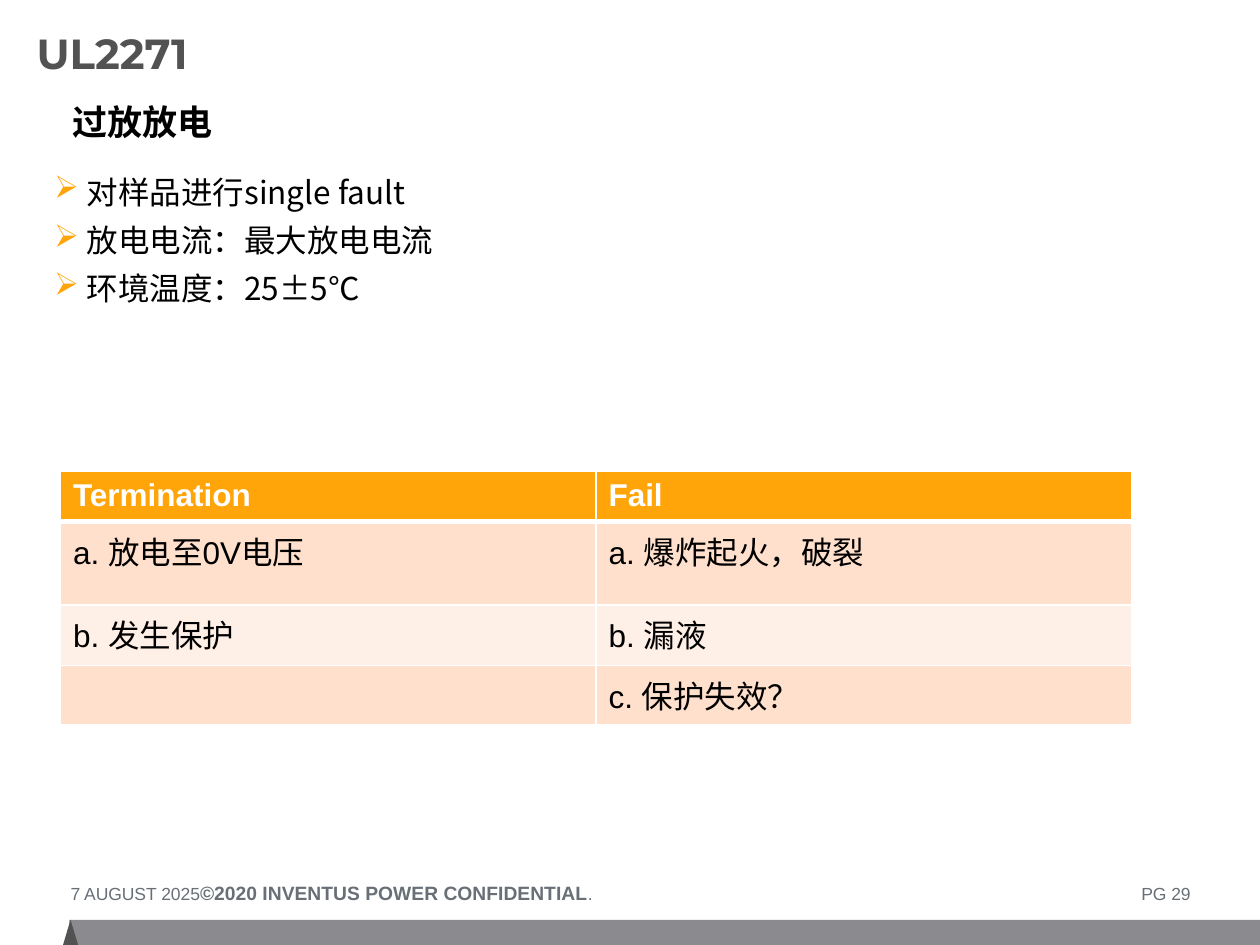
from pptx import Presentation
from pptx.dml.color import RGBColor
from pptx.enum.shapes import MSO_SHAPE as Shape
from pptx.enum.text import MSO_ANCHOR as Anchor
from pptx.oxml import parse_xml
from pptx.oxml.ns import nsdecls
from pptx.util import Emu, Inches, Pt

COLS, ROWS = 100, 75
AMBER, BLACK, WHITE = "FFA409", "000000", "FFFFFF"
DARK, GREY, BAR = "535252", "686F76", "8B8A8F"
BANDS = ["FFE0CC", "FFF0E7"]


def color(text):
    return RGBColor.from_string(text)


def node(xml):
    """Parse an XML piece whose root tag is written without namespaces."""
    tag, rest = xml[:-2].split(" ", 1) if xml.endswith("/>") else (None, None)
    if tag:
        return parse_xml(f"{tag} {nsdecls('a')} {rest}/>")
    head, rest = xml.split(">", 1)
    return parse_xml(f"{head} {nsdecls('a')}>{rest}")


class Deck:
    """Holds the file, its current slide and the default font."""

    def __init__(self, font="Arial"):
        self.file = Presentation()
        self.file.slide_width, self.file.slide_height = Inches(10), Inches(7.5)
        self.slide = self.file.slides.add_slide(self.file.slide_layouts[6])
        self.font = font

    def area(self, left, top, wide, high):
        """Turn grid columns and rows into lengths."""
        col = self.file.slide_width / COLS
        row = self.file.slide_height / ROWS
        return [Emu(round(n * u)) for n, u in
                zip((left, top, wide, high), (col, row, col, row))]

    def style(self, run, size, tint, bold=False, font=None):
        run.font.name = font or self.font
        run.font.size, run.font.bold = Pt(size), bold
        run.font.color.rgb = color(tint)

    def block(self, kind, place, tint):
        shape = self.slide.shapes.add_shape(kind, *self.area(*place))
        shape.shadow.inherit = False
        shape.fill.solid()
        shape.fill.fore_color.rgb = color(tint)
        shape.line.fill.background()

    def text(self, place, words, size, tint, bold=False, font=None, inset=True):
        frame = self.slide.shapes.add_textbox(*self.area(*place)).text_frame
        frame.word_wrap = True
        if not inset:
            frame.margin_left = frame.margin_right = 0
            frame.margin_top = frame.margin_bottom = 0
        frame.text = words
        for para in frame.paragraphs:
            for run in para.runs:
                self.style(run, size, tint, bold, font)
        return frame

    def bullets(self, place, lines, size, font):
        frame = self.text(place, "\n".join(lines), size, BLACK, font=font,
                          inset=False)
        for para in frame.paragraphs:
            para.space_after = Pt(6)
            props = para._p.get_or_add_pPr()
            props.set("marL", str(Inches(0.26)))
            props.set("indent", str(-Inches(0.26)))
            props.append(node(f'<a:buClr><a:srgbClr val="{AMBER}"/></a:buClr>'))
            props.append(node('<a:buChar char="➢"/>'))

    def footer(self, place, date, claim, page):
        frame = self.text(place, date + "\t", 10, GREY, inset=False)
        para = frame.paragraphs[0]
        stops = [(3.38, "dec"), (place[2] / 10, "r")]
        tabs = "".join(f'<a:tab pos="{Inches(at)}" algn="{kind}"/>'
                       for at, kind in stops)
        para._p.get_or_add_pPr().append(node(f"<a:tabLst>{tabs}</a:tabLst>"))
        for words, size, bold in [(claim, 11, True), (".\t" + page, 10, False)]:
            run = para.add_run()
            run.text = words
            self.style(run, size, GREY, bold)

    def edges(self, cell, base):
        props = cell._tc.get_or_add_tcPr()
        for side, width in zip("LRTB", (1, 1, 1, base)):
            props.append(node(
                f'<a:ln{side} w="{Pt(width)}"><a:solidFill>'
                f'<a:srgbClr val="{WHITE}"/></a:solidFill></a:ln{side}>'))

    def table(self, place, rows, highs, size):
        grid = self.slide.shapes.add_table(
            len(rows), len(rows[0]), *self.area(*place)).table
        for i, (row, high) in enumerate(zip(rows, highs)):
            grid.rows[i].height = self.area(0, 0, 0, high)[3]
            head = i == 0
            for j, words in enumerate(row):
                cell = grid.cell(i, j)
                self.edges(cell, 3 if head else 1)
                cell.fill.solid()
                cell.fill.fore_color.rgb = color(
                    AMBER if head else BANDS[(i - 1) % 2])
                cell.text_frame.text = words
                for run in cell.text_frame.paragraphs[0].runs:
                    self.style(run, size, WHITE if head else BLACK, head)


def main():
    deck = Deck()
    deck.block(Shape.RECTANGLE, (5.5, 73, 94.5, 2), BAR)
    deck.block(Shape.ISOSCELES_TRIANGLE, (5, 73, 1.2, 2), DARK)
    deck.footer((5.6, 69.9, 88.9, 1.9), "7 AUGUST 2025",
                "©2020 INVENTUS POWER CONFIDENTIAL", "PG 29")
    title = deck.text((2.9, 1.4, 73.8, 6.4), "UL2271", 24, DARK, True,
                      "Montserrat", inset=False)
    title.vertical_anchor = Anchor.MIDDLE
    title.paragraphs[0].line_spacing = 0.75
    deck.text((4.8, 7.5, 47, 4.4), "过放放电", 20, BLACK, True)
    deck.bullets((4.3, 13.7, 88.8, 50),
                 ["对样品进行single fault", "放电电流：最大放电电流",
                  "环境温度：25±5℃"], 18, "Noto Sans CJK SC")
    deck.table((4.8, 37.4, 85, 20.1),
               [("Termination", "Fail"),
                ("a. 放电至0V电压", "a. 爆炸起火，破裂"),
                ("b. 发生保护", "b. 漏液"),
                ("", "c. 保护失效？")], (3.8, 6.6, 4.8, 4.7), 18)
    deck.file.save("out.pptx")


if __name__ == "__main__":
    main()
